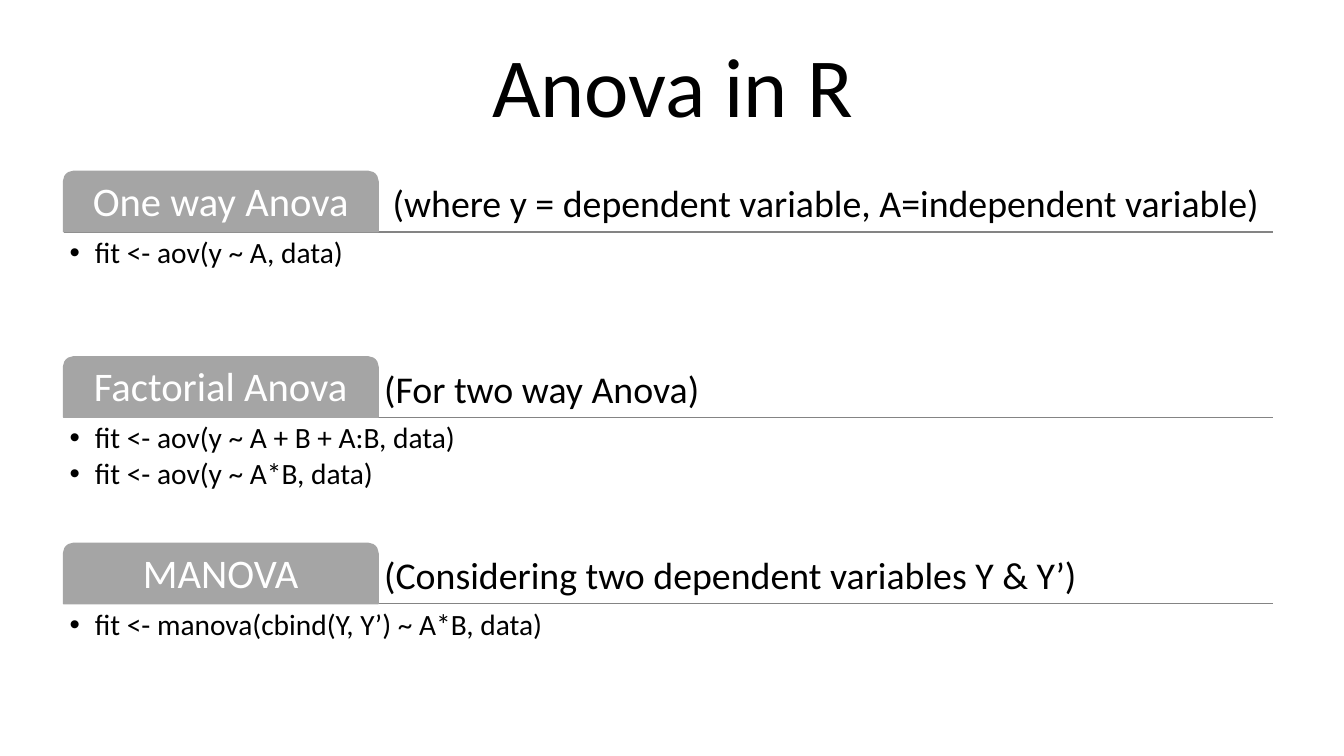
"""Build the "Anova in R" slide: three tabbed sections with R calls."""
from pptx import Presentation
from pptx import util as u
from pptx.dml import color
from pptx.enum import shapes, text
from pptx.oxml import ns, xmlchemy

PX = 9144
FONT = "Calibri"
BLACK, WHITE, GREY, RULE = "000000", "FFFFFF", "A5A5A5", "848484"
LEFT, WIDTH = 63, 1200
TAB_WIDTH, TAB_HEIGHT = 312, 60
LIST_HEIGHT = 121
COMPARISON_LAYOUT = 4

SECTIONS = [
    ("One way Anova", " (where y = dependent variable, A=independent variable)",
     ["fit <- aov(y ~ A, data)"]),
    ("Factorial Anova", "(For two way Anova)",
     ["fit <- aov(y ~ A + B + A:B, data)", "fit <- aov(y ~ A*B, data)"]),
    ("MANOVA", "(Considering two dependent variables Y & Y’)",
     ["fit <- manova(cbind(Y, Y’) ~ A*B, data)"]),
]


def px(*lengths):
    """Turn px lengths into EMU."""
    return [u.Emu(length * PX) for length in lengths]


def rgb(hex_string):
    """Return the colour for a hex string."""
    return color.RGBColor.from_string(hex_string)


def place(shape, left, top, width, height):
    """Move and resize a placeholder."""
    shape.left, shape.top, shape.width, shape.height = px(left, top, width, height)


def write(shape, content, size, hex_color, align, anchor, inset=6, after=0):
    """Fill a shape with text and format every paragraph."""
    frame = shape.text_frame
    frame.text = content
    frame.word_wrap = True
    frame.auto_size = text.MSO_AUTO_SIZE.NONE
    frame.vertical_anchor = anchor
    (frame.margin_left, frame.margin_top,
     frame.margin_right, frame.margin_bottom) = px(inset, inset, inset, inset)
    for paragraph in frame.paragraphs:
        paragraph.alignment = align
        paragraph.line_spacing = 0.9
        paragraph.space_before = u.Pt(0)
        paragraph.space_after = u.Pt(after)
        for run in paragraph.runs:
            run.font.name = FONT
            run.font.size = u.Pt(size)
            run.font.bold = False
            run.font.color.rgb = rgb(hex_color)


def add_bullets(shape):
    """Give every paragraph a hanging round bullet."""
    indent = 25 * PX
    for paragraph in shape.text_frame.paragraphs:
        properties = paragraph._p.get_or_add_pPr()
        properties.set("marL", str(indent))
        properties.set("indent", str(-indent))
        bullet = xmlchemy.OxmlElement("a:buChar")
        bullet.set("char", "•")
        properties.append(bullet)


def add_rule(slide, top):
    """Draw the line under a section heading."""
    start_x, start_y, end_x, end_y = px(LEFT, top, LEFT + WIDTH, top)
    rule = slide.shapes.add_connector(
        shapes.MSO_CONNECTOR.STRAIGHT, start_x, start_y, end_x, end_y)
    rule.line.color.rgb = rgb(RULE)
    rule.line.width = u.Pt(1)
    rule._element.find(ns.qn("p:spPr")).append(xmlchemy.OxmlElement("a:effectLst"))


def add_tab(slide, top, label):
    """Draw the grey tab that names a section."""
    tab = slide.shapes.add_shape(
        shapes.MSO_SHAPE.ROUND_2_SAME_RECTANGLE, *px(LEFT, top, TAB_WIDTH, TAB_HEIGHT))
    tab.shadow.inherit = False
    tab.fill.solid()
    tab.fill.fore_color.rgb = rgb(GREY)
    tab.line.color.rgb = rgb(GREY)
    tab.line.width = u.Pt(1)
    write(tab, label, 29, WHITE, text.PP_ALIGN.CENTER, text.MSO_ANCHOR.MIDDLE)


def add_remark(slide, top, remark):
    """Write the remark to the right of a tab."""
    box = slide.shapes.add_textbox(
        *px(LEFT + TAB_WIDTH, top, WIDTH - TAB_WIDTH, TAB_HEIGHT))
    write(box, remark, 27, BLACK, text.PP_ALIGN.LEFT, text.MSO_ANCHOR.BOTTOM)


def fill_list(body, top, calls):
    """Put the R calls of a section into a body placeholder."""
    place(body, LEFT, top, WIDTH, LIST_HEIGHT)
    write(body, "\n".join(calls), 21, BLACK, text.PP_ALIGN.LEFT,
          text.MSO_ANCHOR.TOP, after=3)
    add_bullets(body)


def main():
    """Build and save the slide."""
    presentation = Presentation()
    presentation.slide_width, presentation.slide_height = px(1333, 750)
    slide = presentation.slides.add_slide(
        presentation.slide_layouts[COMPARISON_LAYOUT])
    title, *bodies = list(slide.placeholders)
    place(title, 67, 40, 1200, 100)
    write(title, "Anova in R", 60, BLACK, text.PP_ALIGN.CENTER,
          text.MSO_ANCHOR.BOTTOM, inset=5)
    for index, (label, remark, calls) in enumerate(SECTIONS):
        top = 170 + index * 369 // 2
        add_rule(slide, top + TAB_HEIGHT)
        add_remark(slide, top, remark)
        add_tab(slide, top, label)
        fill_list(bodies[index], top + TAB_HEIGHT, calls)
    for spare in bodies[len(SECTIONS):]:
        spare.element.getparent().remove(spare.element)
    presentation.save("out.pptx")


if __name__ == "__main__":
    main()
